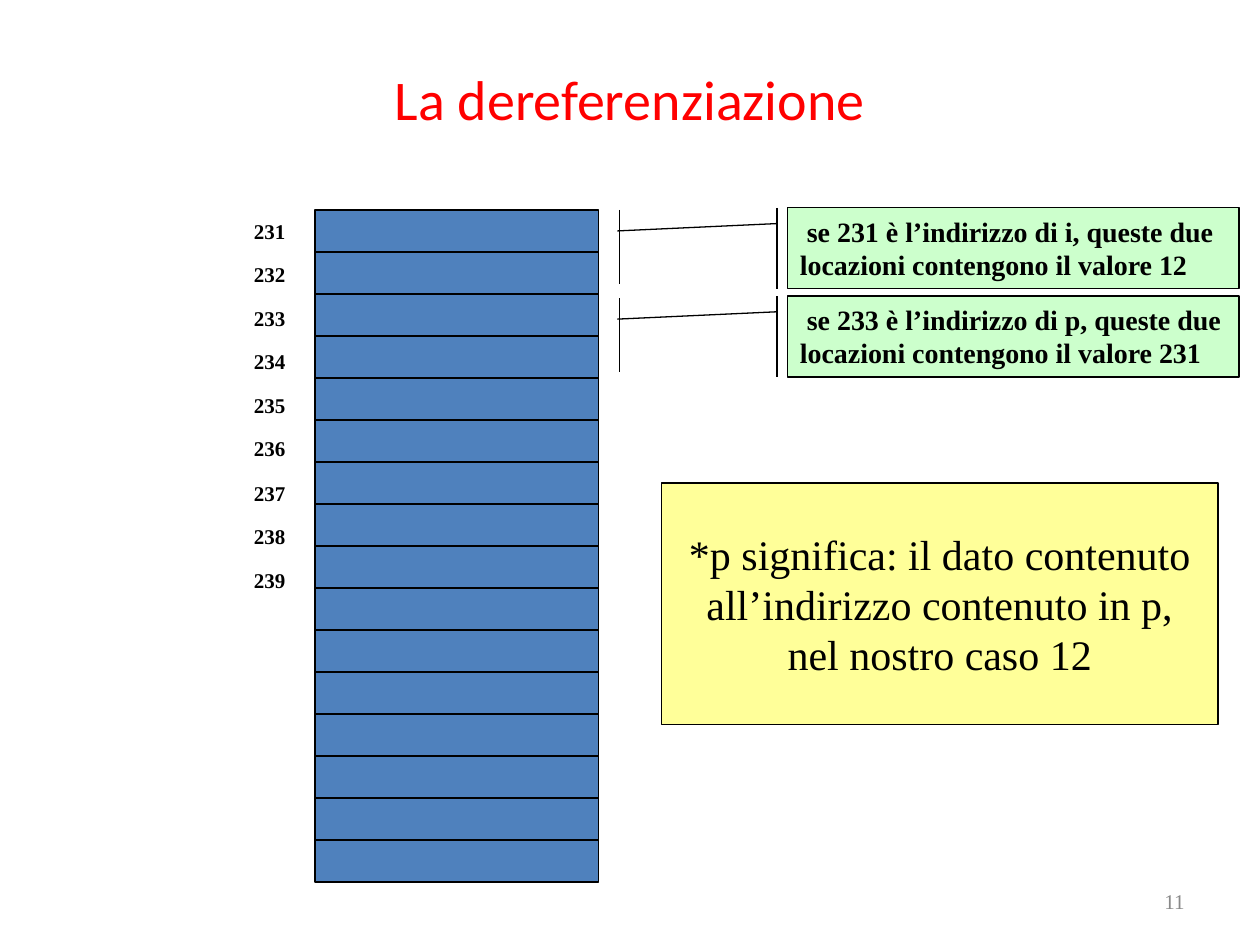
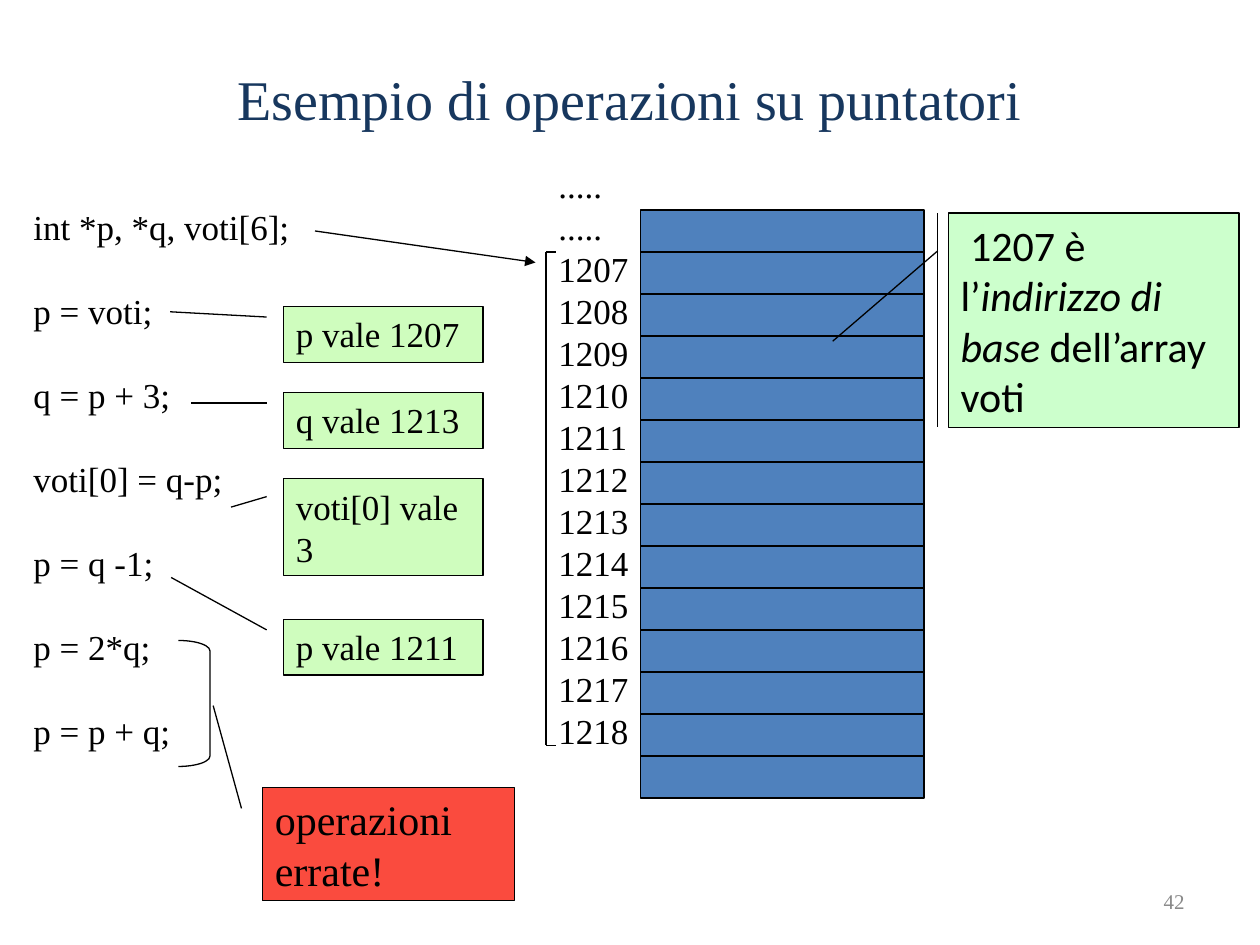
from dataclasses import dataclass
from typing import Optional

from lxml import etree
from pptx import Presentation
from pptx.dml.color import RGBColor
from pptx.enum.shapes import MSO_CONNECTOR, MSO_SHAPE
from pptx.enum.text import MSO_ANCHOR, PP_ALIGN
from pptx.oxml.ns import qn
from pptx.util import Emu, Pt

RECT = MSO_SHAPE.RECTANGLE
PROCESS = MSO_SHAPE.FLOWCHART_PROCESS
BRACKET = MSO_SHAPE.RIGHT_BRACKET
CALLOUT = MSO_SHAPE.LINE_CALLOUT_1
ACCENT_CALLOUT = MSO_SHAPE.LINE_CALLOUT_1_BORDER_AND_ACCENT_BAR
STRAIGHT = MSO_CONNECTOR.STRAIGHT
LEFT, CENTER, RIGHT = PP_ALIGN.LEFT, PP_ALIGN.CENTER, PP_ALIGN.RIGHT
TOP, MIDDLE = MSO_ANCHOR.TOP, MSO_ANCHOR.MIDDLE

SERIF, SANS = "Times New Roman", "Calibri"
BLACK, GREY, RED, NAVY = "000000", "898989", "FF0000", "17375E"
CELL_BLUE, MINT, LIME = "4F81BD", "CCFFCC", "A0FD7F"
YELLOW, ERROR_RED = "FFFF99", "FA4B3E"

EMU_PER_PX = 7620
CELL_W, CELL_H, MEMORY_TOP = 270, 40, 200


@dataclass(frozen=True)
class Box:
    x: int
    y: int
    w: int
    h: int


@dataclass(frozen=True)
class Style:
    size: int
    font: str = SERIF
    color: str = BLACK
    bold: bool = False
    align: PP_ALIGN = LEFT
    anchor: MSO_ANCHOR = TOP
    spacing: Optional[float] = None
    after: int = 0


@dataclass(frozen=True)
class Callout:
    text: str
    box: Box
    root: tuple[int, int]
    tip: tuple[int, int]
    style: Style
    fill: str = MINT
    kind: MSO_SHAPE = ACCENT_CALLOUT
    alpha: Optional[int] = None


@dataclass(frozen=True)
class Line:
    x1: int
    y1: int
    x2: int
    y2: int
    arrow: bool = False


NUMBER = Style(12, color=GREY, align=RIGHT, anchor=MIDDLE)
ADDRESS = Style(12, bold=True, spacing=1.1)
NOTE = Style(16, bold=True)
MEANING = Style(24, align=CENTER, anchor=MIDDLE)
LISTING = Style(20, spacing=Pt(24))
CODE = Style(20, spacing=Pt(24), after=24)
VALUE = Style(20)

POINTER_NOTES = [
    Callout(" se 231 è l’indirizzo di i, queste due locazioni contengono il valore 12",
            Box(750, 198, 430, 77), (-10, 15), (588, 220), NOTE),
    Callout(" se 233 è l’indirizzo di p, queste due locazioni contengono il valore 231",
            Box(750, 282, 430, 77), (-10, 15), (588, 304), NOTE),
]
POINTER_BARS = [Line(590, 200, 590, 270), Line(590, 284, 590, 354)]

STATEMENTS = ["int *p, *q, voti[6];", "p = voti;", "q = p + 3;", "voti[0] = q-p;",
              "p = q -1;", "p = 2*q;", "p = p + q;"]
ARRAY_LINES = [
    Line(300, 220, 510, 250, arrow=True),
    Line(520, 240, 520, 270),
    Line(520, 240, 530, 240),
    Line(520, 260, 520, 530),
    Line(520, 520, 520, 710),
    Line(520, 710, 530, 710),
]


def value_callout(text: str, y: int, h: int, root_y: int, tip: tuple[int, int]) -> Callout:
    return Callout(text, Box(270, y, 190, h), (-16, root_y), tip, VALUE, LIME, CALLOUT, 50)


ARRAY_NOTES = [
    Callout(" 1207 è l’_indirizzo di base_ dell’array voti",
            Box(903, 203, 277, 204), (-10, 36), (793, 325), Style(24, SANS)),
    value_callout("p vale 1207", 292, 53, 10, (162, 297)),
    value_callout("q vale 1213", 374, 53, 10, (182, 384)),
    value_callout("voti[0] vale 3", 456, 92, 17, (220, 483)),
    value_callout("p vale 1211", 590, 53, 10, (163, 550)),
    Callout("operazioni errate!", Box(250, 750, 240, 108), (-20, 20), (203, 672),
            Style(24), ERROR_RED, CALLOUT),
]


def px(n: int) -> Emu:
    return Emu(n * EMU_PER_PX)


def place(box: Box) -> tuple[Emu, Emu, Emu, Emu]:
    return px(box.x), px(box.y), px(box.w), px(box.h)


def rgb(color: str) -> RGBColor:
    return RGBColor.from_string(color)


def write(tf, lines: list[str], style: Style, wrap: bool = True) -> None:
    tf.word_wrap = wrap
    tf.vertical_anchor = style.anchor
    for i, line in enumerate(lines):
        p = tf.add_paragraph() if i else tf.paragraphs[0]
        p.alignment = style.align
        p.line_spacing = style.spacing
        p.space_after = Pt(style.after)
        p.font.name = style.font
        p.font.size = Pt(style.size)
        p.font.bold = style.bold
        p.font.color.rgb = rgb(style.color)
        for j, part in enumerate(line.split("_")):
            r = p.add_run()
            r.text = part
            if j % 2:
                r.font.italic = True


def add_text(slide, box: Box, lines: list[str], style: Style) -> None:
    write(slide.shapes.add_textbox(*place(box)).text_frame, lines, style)


def add_shape(slide, kind: MSO_SHAPE, box: Box, fill: Optional[str] = None):
    sp = slide.shapes.add_shape(kind, *place(box))
    sp.shadow.inherit = False
    if fill:
        sp.fill.solid()
        sp.fill.fore_color.rgb = rgb(fill)
    else:
        sp.fill.background()
    sp.line.color.rgb = rgb(BLACK)
    sp.line.width = Pt(0.75)
    return sp


def add_callout(slide, c: Callout) -> None:
    sp = add_shape(slide, c.kind, c.box, c.fill)
    root_x, root_y = c.root
    tip_x, tip_y = c.tip
    sp.adjustments[0] = root_y / c.box.h
    sp.adjustments[1] = root_x / c.box.w
    sp.adjustments[2] = (tip_y - c.box.y) / c.box.h
    sp.adjustments[3] = (tip_x - c.box.x) / c.box.w
    if c.alpha is not None:
        color = sp._element.spPr.find(qn("a:solidFill")).find(qn("a:srgbClr"))
        etree.SubElement(color, qn("a:alpha")).set("val", str(c.alpha * 1000))
    write(sp.text_frame, [c.text], c.style)


def add_line(slide, line: Line) -> None:
    cx = slide.shapes.add_connector(STRAIGHT, px(line.x1), px(line.y1), px(line.x2), px(line.y2))
    cx.line.color.rgb = rgb(BLACK)
    cx.line.width = Pt(0.75)
    if line.arrow:
        etree.SubElement(cx.line._get_or_add_ln(), qn("a:tailEnd")).set("type", "triangle")
    etree.SubElement(cx._element.spPr, qn("a:effectLst"))


def add_memory(slide, x: int, count: int) -> None:
    for i in range(count):
        add_shape(slide, RECT, Box(x, MEMORY_TOP + i * CELL_H, CELL_W, CELL_H), CELL_BLUE)


def add_slide(prs, title: str, font: str, color: str, number: int):
    slide = prs.slides.add_slide(prs.slide_layouts[5])
    sp = slide.shapes.title
    sp.left, sp.top, sp.width, sp.height = place(Box(60, 36, 1080, 114))
    write(sp.text_frame, [title], Style(32, font, color, align=CENTER, anchor=MIDDLE))
    add_text(slide, Box(860, 834, 280, 48), [str(number)], NUMBER)
    return slide


def build_dereference(prs) -> None:
    slide = add_slide(prs, "La dereferenziazione", SANS, RED, 11)
    add_memory(slide, 300, 16)
    for i, address in enumerate(range(231, 240)):
        add_text(slide, Box(230, MEMORY_TOP + i * 83 // 2, 60, 38), [str(address)], ADDRESS)
    for note in POINTER_NOTES:
        add_callout(slide, note)
    for bar in POINTER_BARS:
        add_line(slide, bar)
    meaning = add_shape(slide, PROCESS, Box(630, 460, 530, 230), YELLOW)
    write(meaning.text_frame, ["*p significa: il dato contenuto", "all’indirizzo contenuto in p,",
                               "nel nostro caso 12"], MEANING, wrap=False)


def build_operations(prs) -> None:
    slide = add_slide(prs, "Esempio di operazioni su puntatori", SERIF, NAVY, 42)
    add_text(slide, Box(20, 190, 270, 533), STATEMENTS, CODE)
    addresses = [".....", "....."] + [str(n) for n in range(1207, 1219)]
    add_text(slide, Box(520, 150, 120, 572), addresses, LISTING)
    add_memory(slide, 610, 14)
    for line in ARRAY_LINES:
        add_line(slide, line)
    for note in ARRAY_NOTES:
        add_callout(slide, note)
    bracket = add_shape(slide, BRACKET, Box(170, 610, 30, 120))
    bracket.adjustments[0] = 0.33


def main() -> None:
    prs = Presentation()
    prs.slide_width, prs.slide_height = px(1200), px(900)
    build_dereference(prs)
    build_operations(prs)
    prs.save("out.pptx")


if __name__ == "__main__":
    main()
